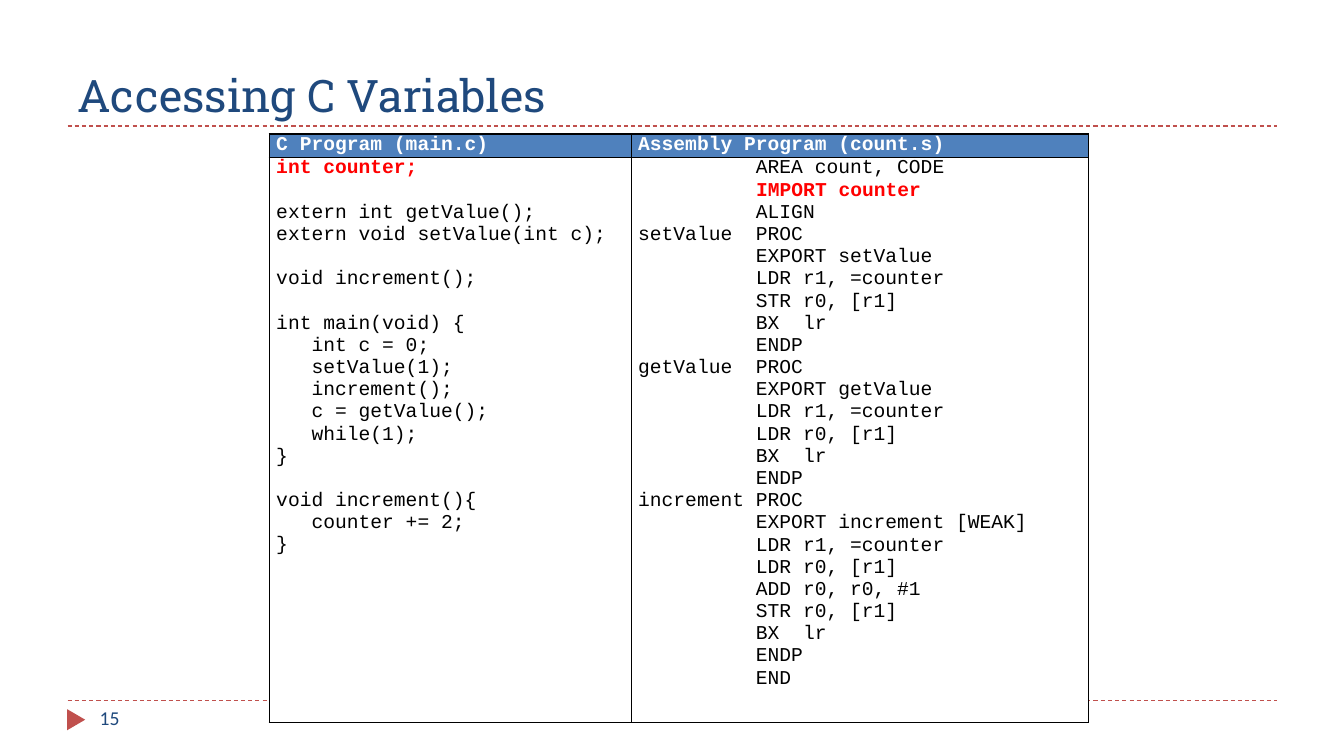
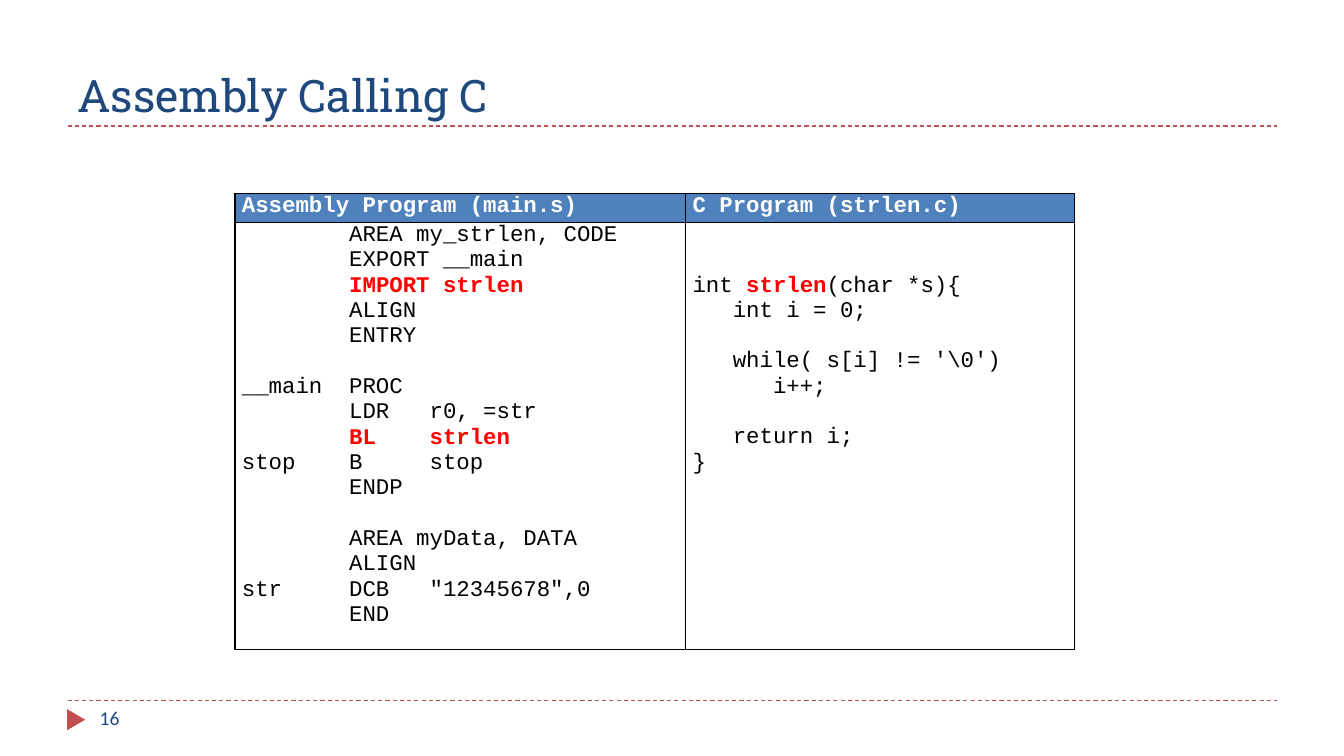
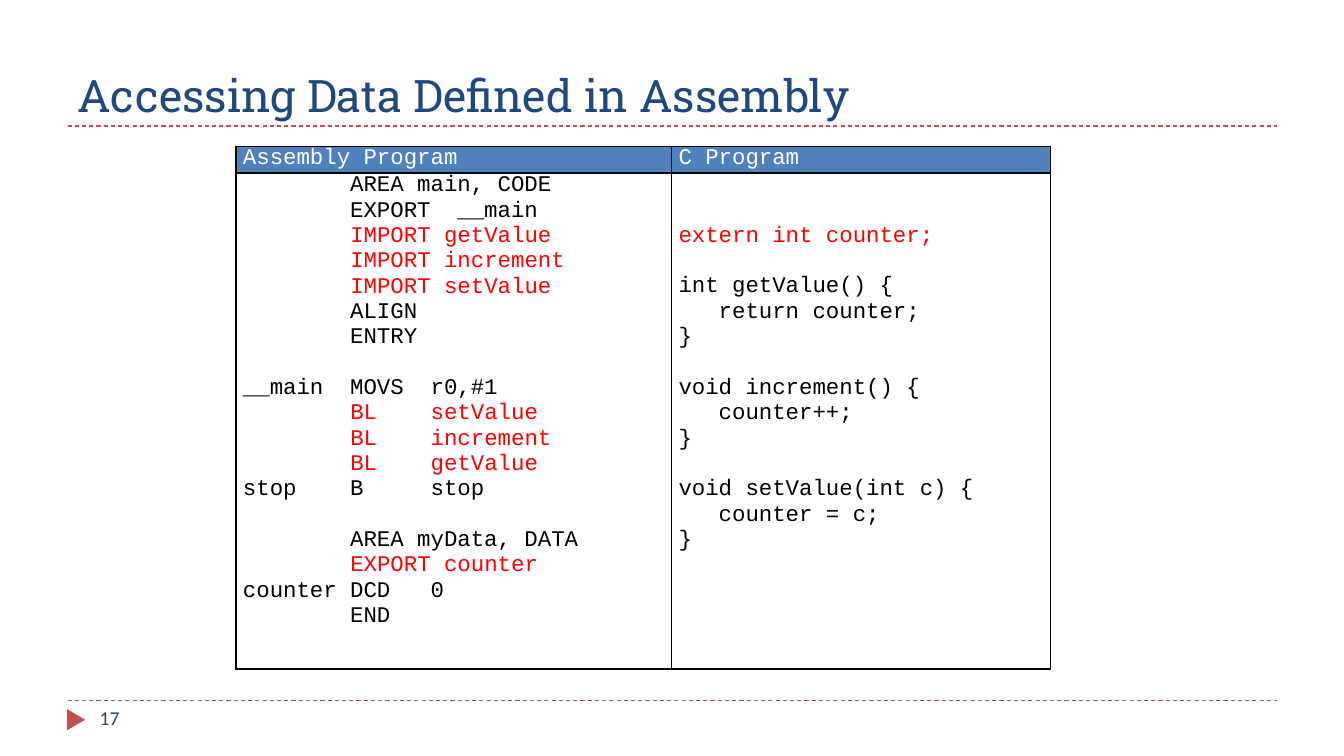
from pptx import Presentation
from pptx.dml.color import RGBColor
from pptx.enum.dml import MSO_LINE
from pptx.enum.shapes import MSO_CONNECTOR, MSO_SHAPE
from pptx.enum.text import MSO_ANCHOR, PP_ALIGN
from pptx.oxml.ns import qn
from pptx.util import Pt
from lxml import etree

STRAIGHT = MSO_CONNECTOR.STRAIGHT
TRIANGLE = MSO_SHAPE.ISOSCELES_TRIANGLE
DASH = MSO_LINE.DASH
TOP, BOTTOM = MSO_ANCHOR.TOP, MSO_ANCHOR.BOTTOM
LEFT, JUSTIFY = PP_ALIGN.LEFT, PP_ALIGN.JUSTIFY

PX = 9144  # 100 px to the inch
COLORS = {
    "navy": "1F497D", "rule": "C0504D", "head": "4F81BD",
    "white": "FFFFFF", "black": "000000", "hot": "FF0000",
}
SERIF, SANS, MONO = "Roboto Slab", "Calibri", "Courier New"
PITCH = 1.13  # line height of the code font, in font sizes

# Code listings: text between bars is highlighted
COUNT_C = """|int counter;|

extern int getValue();
extern void setValue(int c);

void increment();

int main(void) {
   int c = 0;
   setValue(1);
   increment();
   c = getValue();
   while(1);
}

void increment(){
   counter += 2;
}"""

COUNT_S = """          AREA count, CODE
          |IMPORT counter|
          ALIGN
setValue  PROC
          EXPORT setValue
          LDR r1, =counter
          STR r0, [r1]
          BX  lr
          ENDP
getValue  PROC
          EXPORT getValue
          LDR r1, =counter
          LDR r0, [r1]
          BX  lr
          ENDP
increment PROC
          EXPORT increment [WEAK]
          LDR r1, =counter
          LDR r0, [r1]
          ADD r0, r0, #1
          STR r0, [r1]
          BX  lr
          ENDP
          END"""

STRLEN_S = """        AREA my_strlen, CODE
        EXPORT __main
        |IMPORT strlen|
        ALIGN
        ENTRY

__main  PROC
        LDR   r0, =str
        |BL    strlen|
stop    B     stop
        ENDP

        AREA myData, DATA
        ALIGN
str     DCB   "12345678",0
        END"""

STRLEN_C = r"""

int |strlen|(char *s){
   int i = 0;

   while( s[i] != '\0')
      i++;

   return i;
}"""

DATA_S = """        AREA main, CODE
        EXPORT  __main
        |IMPORT getValue|
        |IMPORT increment|
        |IMPORT setValue|
        ALIGN
        ENTRY

__main  MOVS  r0,#1
        |BL    setValue|
        |BL    increment|
        |BL    getValue|
stop    B     stop

        AREA myData, DATA
        |EXPORT counter|
counter DCD   0
        END"""

DATA_C = """

|extern int counter;|

int getValue() {
   return counter;
}

void increment() {
   counter++;
}

void setValue(int c) {
   counter = c;
}"""

SLIDES = [
    dict(title="Accessing C Variables", num=15, at=(267, 133),
         cols=(359, 454), rows=(22, 529), size=14, bold=True,
         heads=("C Program (main.c)", "Assembly Program (count.s)"),
         codes=(COUNT_C, COUNT_S)),
    dict(title="Assembly Calling C", num=16, at=(233, 192),
         cols=(447, 386), rows=(29, 402), size=16, bold=True,
         heads=("Assembly Program (main.s)", "C Program (strlen.c)"),
         codes=(STRLEN_S, STRLEN_C)),
    dict(title="Accessing Data Defined in Assembly", num=17, at=(234, 145),
         cols=(432, 376), rows=(25, 492), size=16, bold=False,
         heads=("Assembly Program", "C Program"),
         codes=(DATA_S, DATA_C)),
]


def px(*vals):
    return [val * PX for val in vals]


def rgb(name):
    return RGBColor.from_string(COLORS[name])


def add_run(para, text, face, size, color, bold=False):
    run = para.add_run()
    run.text = text
    font = run.font
    font.name, font.size, font.bold = face, Pt(size), bold
    font.color.rgb = rgb(color)


def label(slide, box, text, face, size, anchor):
    frame = slide.shapes.add_textbox(*px(*box)).text_frame
    frame.word_wrap = True
    frame.vertical_anchor = anchor
    para = frame.paragraphs[0]
    para.alignment = LEFT
    add_run(para, text, face, size, "navy")


def rule(slide, x, y, wide):
    line = slide.shapes.add_connector(STRAIGHT, *px(x, y, x + wide, y))
    line.line.color.rgb = rgb("rule")
    line.line.width = Pt(0.75)
    line.line.dash_style = DASH
    etree.SubElement(line._element.spPr, qn("a:effectLst"))


def header(slide, box, text):
    x, y, wide, high = box
    label(slide, box, text, SERIF, 32, BOTTOM)
    rule(slide, x, y + high, wide)


def footer(slide, box, num):
    x, y, wide, high = box
    rule(slide, x, y, wide)
    mark = slide.shapes.add_shape(TRIANGLE, *px(x - 2, y + 10, 21, 18))
    mark.rotation = 90
    mark.shadow.inherit = False
    mark.fill.solid()
    mark.fill.fore_color.rgb = rgb("rule")
    mark.line.fill.background()
    label(slide, (x + 22, y, 289, high), str(num), SANS, 14, TOP)


def edge(cell):
    # Borders come before the fill in the cell properties
    props = cell._tc.get_or_add_tcPr()
    for spot, side in enumerate(("lnL", "lnR", "lnT", "lnB")):
        line = etree.Element(qn("a:" + side), w=str(Pt(1)))
        fill = etree.SubElement(line, qn("a:solidFill"))
        etree.SubElement(fill, qn("a:srgbClr"), val=COLORS["black"])
        props.insert(spot, line)


def fill_cell(cell, text, size, color, back, bold):
    cell.margin_left, cell.margin_right = px(7, 7)
    cell.margin_top = cell.margin_bottom = 0
    cell.vertical_anchor = TOP
    cell.fill.solid()
    cell.fill.fore_color.rgb = rgb(back)
    edge(cell)

    # Empty code lines become space above the next line
    frame = cell.text_frame
    gap, first = 0, True
    for line in text.split("\n"):
        if not line:
            gap += size * PITCH
            continue
        if first:
            para = frame.paragraphs[0]
            cell.margin_top = Pt(gap)
        else:
            para = frame.add_paragraph()
            para.space_before = Pt(gap)
        para.alignment = JUSTIFY
        for spot, part in enumerate(line.split("|")):
            hot = spot % 2 == 1
            if part:
                add_run(para, part, MONO, size, "hot" if hot else color,
                        bold and (hot or color == "white"))
        gap, first = 0, False


def listing(slide, at, cols, rows, size, bold, heads, codes):
    box = px(*at, sum(cols), sum(rows))
    table = slide.shapes.add_table(len(rows), len(cols), *box).table
    table.first_row = table.horz_banding = False
    for row, high in zip(table.rows, px(*rows)):
        row.height = high
    for spot, wide in enumerate(px(*cols)):
        table.columns[spot].width = wide
        fill_cell(table.cell(0, spot), heads[spot], size, "white", "head", bold)
        fill_cell(table.cell(1, spot), codes[spot], size, "black", "white", bold)


def build(deck, title, num, **code):
    slide = deck.slides.add_slide(deck.slide_layouts[6])
    header(slide, (67, 17, 1200, 108), title)
    footer(slide, (67, 695, 1200, 40), num)
    listing(slide, **code)


def main():
    deck = Presentation()
    deck.slide_width, deck.slide_height = px(1333, 750)
    for data in SLIDES:
        build(deck, **data)
    deck.save("out.pptx")


if __name__ == "__main__":
    main()
